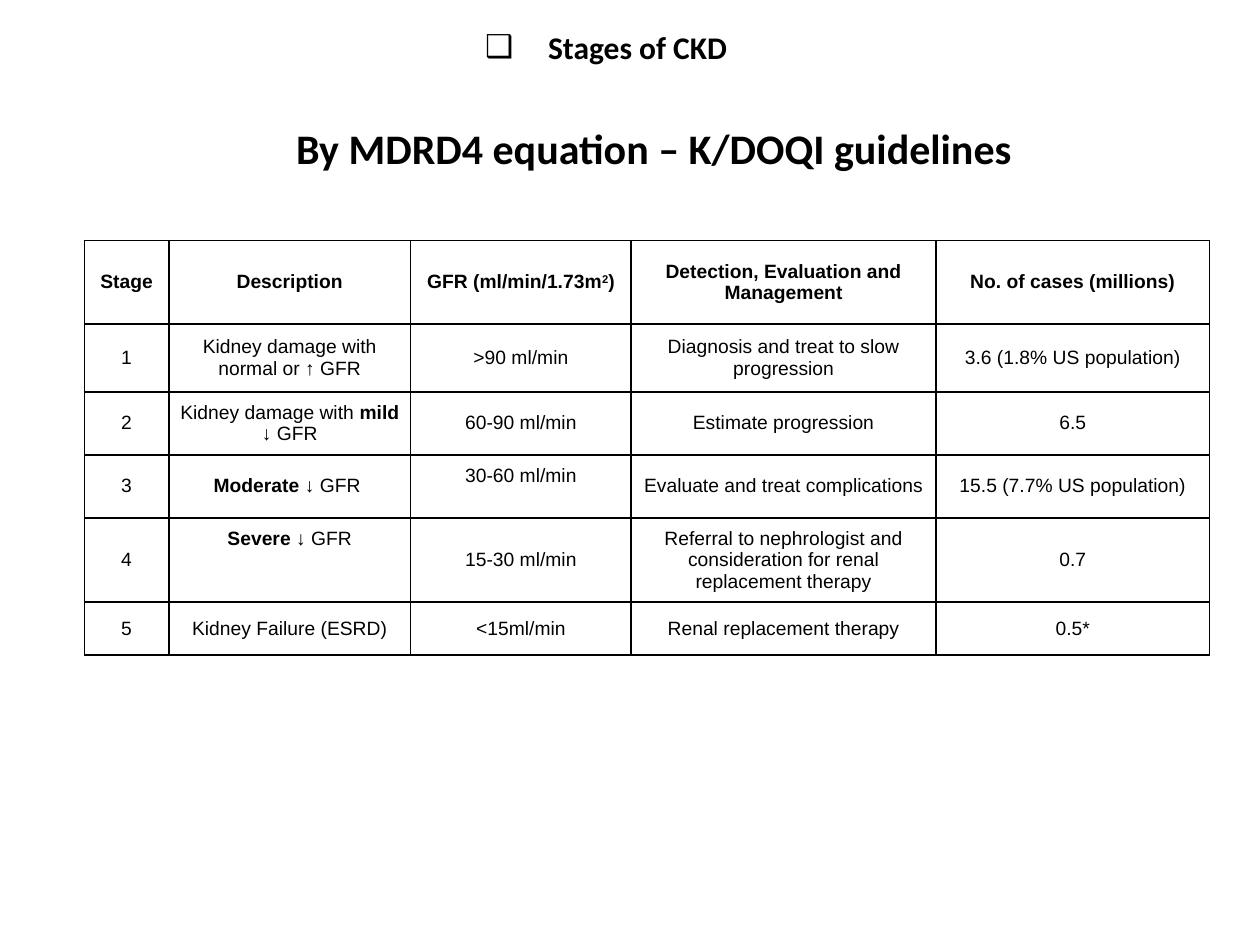
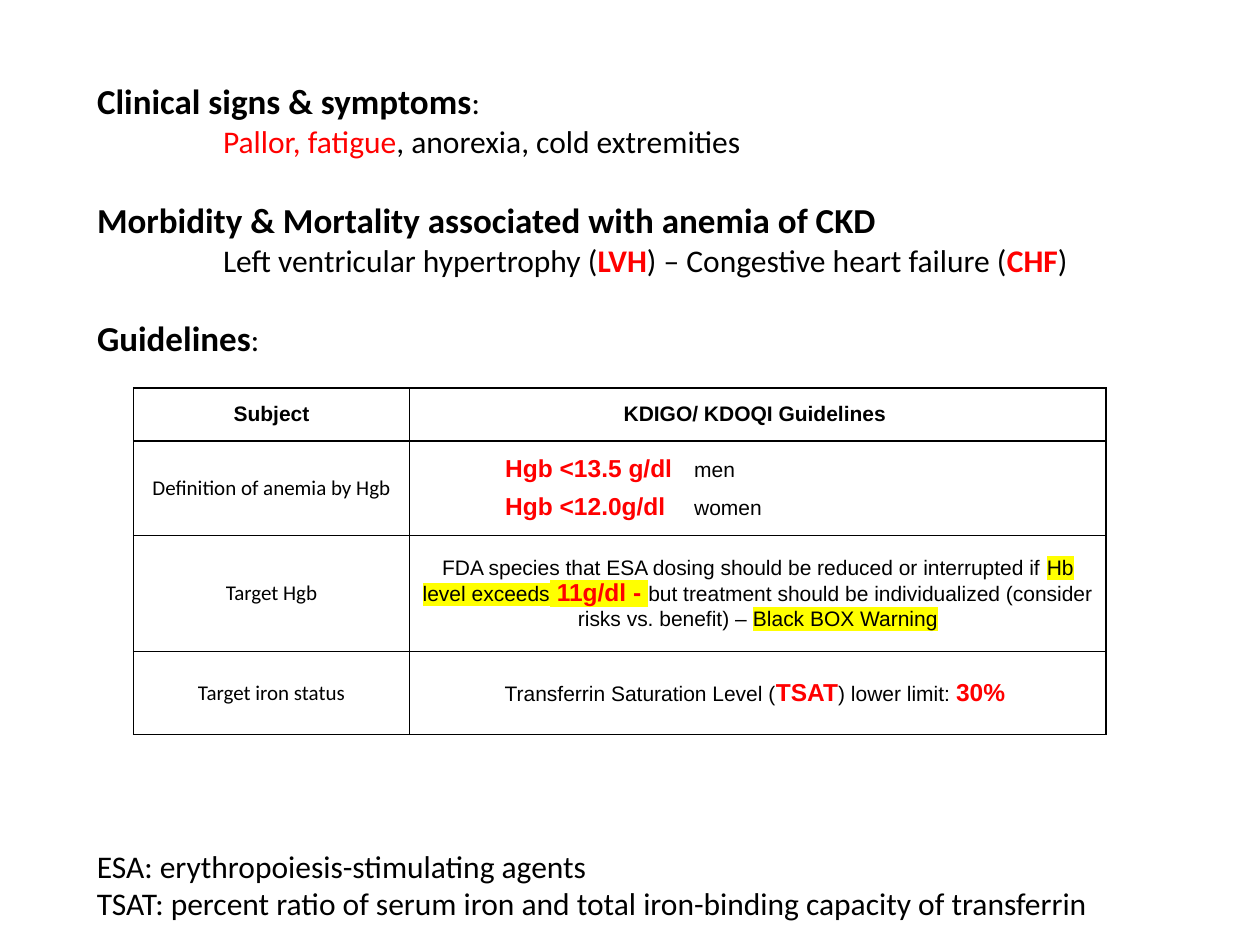
from dataclasses import dataclass
from lxml import etree
from pptx import Presentation
from pptx import util as u
from pptx.dml import color
from pptx.enum import text
from pptx.oxml import ns


@dataclass(frozen=True)
class Theme:
    black: str = "000000"
    red: str = "FF0000"
    yellow: str = "FFFF00"
    head_font: str = "Calibri"
    cell_font: str = "Arial"
    banner: int = 24
    heading: int = 20
    body: int = 18
    key: int = 14
    guide: int = 12
    stage: int = 11


T = Theme()
BOLD = {"bold": True}
RED = {"fill": T.red}
ALERT = {"fill": T.red, "bold": True}
KEY = {**ALERT, "size": T.key}
MARK = {"mark": T.yellow}
HEAD = {"size": T.heading, "bold": True}
LABEL = {"font": T.head_font}

SUBTITLE = "Stages of CKD"
EQUATION = "By MDRD4 equation – K/DOQI guidelines"
STAGES = [
    ["Stage", "Description",
     ["GFR (ml/min/1.73m", ("2", {"raised": True}), ")"],
     "Detection, Evaluation and Management", "No. of cases (millions)"],
    ["1", "Kidney damage with normal or ↑ GFR", ">90 ml/min",
     "Diagnosis and treat to slow progression", "3.6 (1.8% US population)"],
    ["2", ["Kidney damage with ", ("mild ", BOLD), "↓ GFR"], "60-90 ml/min",
     "Estimate progression", "6.5"],
    ["3", [("Moderate ", BOLD), "↓ GFR "], "30-60 ml/min",
     "Evaluate and treat complications", "15.5 (7.7% US population)"],
    ["4", [("Severe ", BOLD), "↓ GFR"], "15-30 ml/min",
     "Referral to nephrologist and consideration for renal replacement therapy", "0.7"],
    ["5", "Kidney Failure (ESRD)", "<15ml/min", "Renal replacement therapy", "0.5*"],
]
STAGE_COLS = [0.67, 1.92, 1.75, 2.42, 2.17]
STAGE_ROWS = [0.66, 0.54, 0.5, 0.5, 0.67, 0.42]
RAISED_CELLS = {(3, 2): 0.17, (4, 1): 0.34}

SIGNS_TITLE = [("Clinical signs & symptoms", HEAD), ":"]
SIGNS = [
    ("detail", [("Pallor, fatigue", RED), ", anorexia, cold extremities"]),
    ("heading", [("Morbidity & Mortality associated with anemia of CKD", HEAD)]),
    ("detail", ["Left ventricular hypertrophy (", ("LVH", ALERT),
                ") – Congestive heart failure (", ("CHF", ALERT), ")"]),
    ("heading", [("Guidelines", HEAD), ":"]),
]
GUIDELINES = [
    ["Subject", "KDIGO/ KDOQI Guidelines "],
    [[("Definition of anemia by Hgb", LABEL)], ""],
    [[("Target Hgb", LABEL)],
     ["FDA species that ESA dosing should be reduced or interrupted if ",
      ("Hb level exceeds", MARK), (" ", {**MARK, "size": T.key}),
      ("11g/dl -", {**KEY, **MARK}), (" ", {**MARK, "size": T.key}),
      "but treatment should be individualized (consider risks vs. benefit) – ",
      ("Black BOX Warning", MARK)]],
    [[("Target iron status", LABEL)],
     ["Transferrin Saturation Level (", ("TSAT", KEY), ") lower limit: ", ("30%", KEY), " "]],
]
GUIDE_COLS = [2.19, 5.53]
GUIDE_ROWS = [0.42, 0.75, 0.92, 0.66]
ANEMIA_LIMITS = [("Hgb <13.5 g/dl", "men"), ("Hgb <12.0g/dl", "women")]
ABBREVIATIONS = [
    "ESA: erythropoiesis-stimulating agents",
    "TSAT: percent ratio of serum iron and total iron-binding capacity of transferrin",
]


def sub(parent, tag, **attrs):
    return etree.SubElement(parent, ns.qn(tag), **attrs)


def add_runs(p, runs, **base):
    for item in [runs] if isinstance(runs, str) else runs:
        words, style = (item, {}) if isinstance(item, str) else item
        look = {"font": T.head_font, "size": T.body, "fill": T.black, "bold": False,
                **base, **style}
        r = p.add_run()
        r.text = words
        r.font.name, r.font.size, r.font.bold = look["font"], u.Pt(look["size"]), look["bold"]
        r.font.color.rgb = color.RGBColor.from_string(look["fill"])
        rpr = r.font._element
        if "raised" in look:
            rpr.set("baseline", "30000")
        if "mark" in look:
            mark = etree.Element(ns.qn("a:highlight"))
            sub(mark, "a:srgbClr", val=look["mark"])
            rpr.find(ns.qn("a:solidFill")).addnext(mark)


def place(sp, left, top, width, height):
    sp.left, sp.top, sp.width, sp.height = map(u.Inches, (left, top, width, height))
    tf = sp.text_frame
    tf.word_wrap = True
    tf.auto_size = text.MSO_AUTO_SIZE.NONE
    tf.vertical_anchor = text.MSO_ANCHOR.TOP
    return tf


def set_paragraph(p, before=0, indent=0.0, hang=0.0, bullet=None):
    p.alignment = text.PP_ALIGN.LEFT
    p.space_before = u.Pt(before)
    ppr = p._p.get_or_add_pPr()
    ppr.set("marL", str(u.Inches(indent)))
    ppr.set("indent", str(u.Inches(-hang)))
    if bullet:
        sub(ppr, "a:buChar", char=bullet)
    else:
        sub(ppr, "a:buNone")
    return p


def paragraphs(tf, count):
    return [tf.paragraphs[0]] + [tf.add_paragraph() for _ in range(count - 1)]


def add_borders(cell):
    tcpr = cell._tc.get_or_add_tcPr()
    for index, side in enumerate(("a:lnL", "a:lnR", "a:lnT", "a:lnB")):
        ln = etree.Element(ns.qn(side), w=str(u.Pt(1)))
        sub(sub(ln, "a:solidFill"), "a:srgbClr", val=T.black)
        tcpr.insert(index, ln)


def add_grid(s, left, top, cols, rows, content, size):
    frame = s.shapes.add_table(len(rows), len(cols), u.Inches(left), u.Inches(top),
                               u.Inches(sum(cols)), u.Inches(sum(rows)))
    table = frame.table
    table.first_row = table.horz_banding = False
    for col, width in zip(table.columns, cols):
        col.width = u.Inches(width)
    for y, (row, height) in enumerate(zip(table.rows, rows)):
        row.height = u.Inches(height)
        for cell, runs in zip(row.cells, content[y]):
            cell.fill.background()
            add_borders(cell)
            cell.vertical_anchor = text.MSO_ANCHOR.MIDDLE
            cell.margin_left = cell.margin_right = u.Inches(0.07)
            cell.margin_top = cell.margin_bottom = 0
            p = cell.text_frame.paragraphs[0]
            p.alignment = text.PP_ALIGN.CENTER
            if runs:
                add_runs(p, runs, font=T.cell_font, size=size, bold=y == 0)
    return table


def fill_limits(cell):
    cell.margin_left = u.Inches(0.76)
    lines = paragraphs(cell.text_frame, len(ANEMIA_LIMITS))
    for i, (p, (limit, group)) in enumerate(zip(lines, ANEMIA_LIMITS)):
        set_paragraph(p, before=6 if i else 0)
        tabs = sub(p._p.get_or_add_pPr(), "a:tabLst")
        sub(tabs, "a:tab", pos=str(u.Inches(1.76)), algn="l")
        add_runs(p, [(limit, KEY), "\t" + group], font=T.cell_font, size=T.guide)


def build_stages(s):
    tf = place(s.shapes.title, 2.25, 0.92, 5.92, 0.5)
    add_runs(set_paragraph(tf.paragraphs[0]), EQUATION, size=T.banner, bold=True)
    tf = place(s.placeholders[1], 3.75, 0.17, 2.42, 0.4)
    p = set_paragraph(tf.paragraphs[0], indent=0.5, hang=0.5, bullet="❑")
    add_runs(p, SUBTITLE, bold=True)
    table = add_grid(s, 0.67, 1.91, STAGE_COLS, STAGE_ROWS, STAGES, T.stage)
    for (y, x), lift in RAISED_CELLS.items():
        table.cell(y, x).margin_bottom = u.Inches(lift)


def build_anemia(s):
    tf = place(s.shapes.title, 0.67, 0.58, 8.5, 0.43)
    add_runs(set_paragraph(tf.paragraphs[0]), SIGNS_TITLE)
    tf = place(s.placeholders[1], 0.67, 0.92, 8.5, 1.98)
    for p, (kind, runs) in zip(paragraphs(tf, len(SIGNS)), SIGNS):
        if kind == "heading":
            set_paragraph(p, before=22)
        else:
            set_paragraph(p, indent=1)
        add_runs(p, runs)
    table = add_grid(s, 1.06, 3.08, GUIDE_COLS, GUIDE_ROWS, GUIDELINES, T.guide)
    fill_limits(table.cell(1, 1))
    tf = place(s.shapes.add_textbox(0, 0, 0, 0), 0.67, 6.67, 8.67, 0.71)
    for p, line in zip(paragraphs(tf, len(ABBREVIATIONS)), ABBREVIATIONS):
        add_runs(set_paragraph(p), line)


def main():
    prs = Presentation()
    prs.slide_width, prs.slide_height = u.Inches(10), u.Inches(7.5)
    for build in (build_stages, build_anemia):
        build(prs.slides.add_slide(prs.slide_layouts[1]))
    prs.save("out.pptx")


if __name__ == "__main__":
    main()
